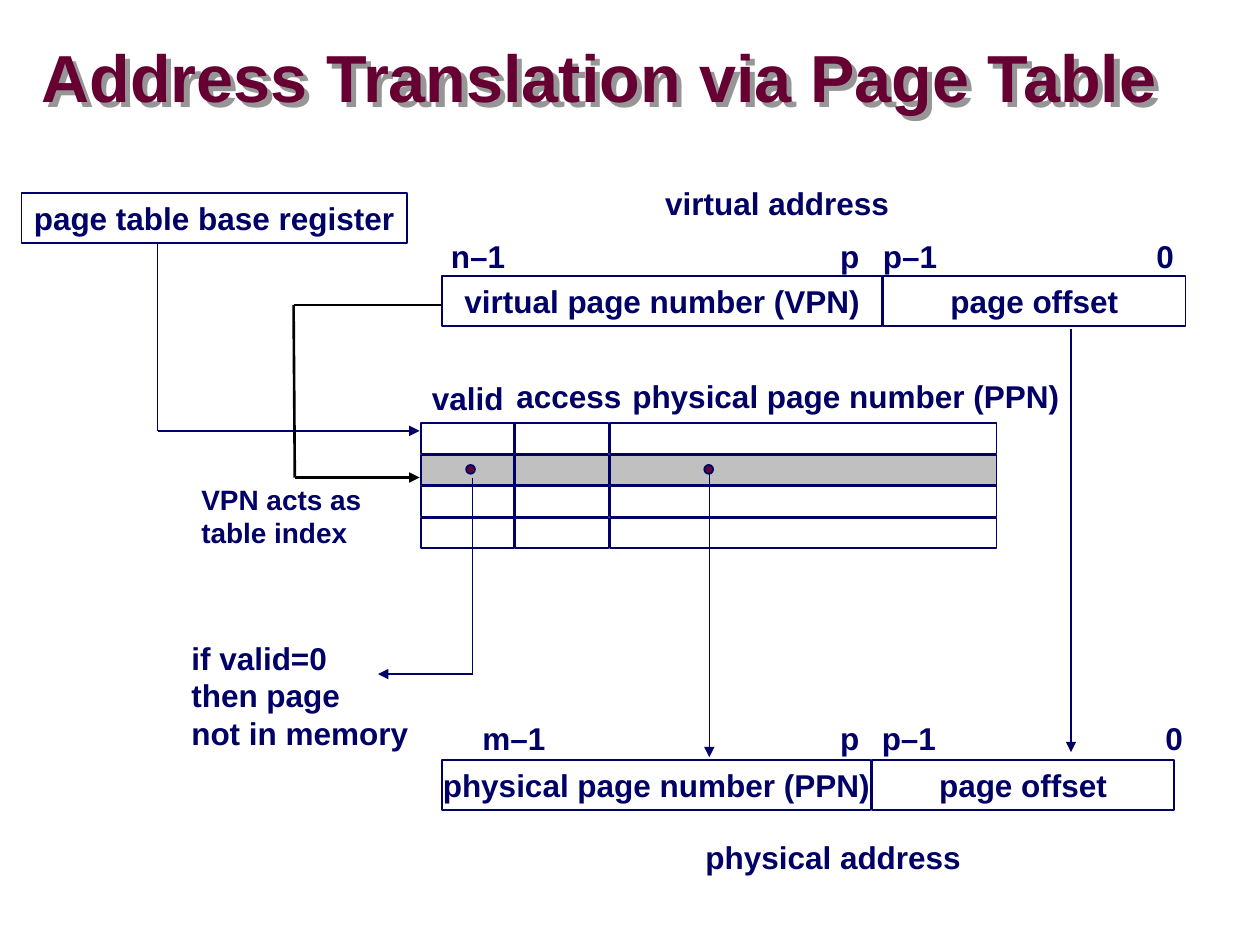
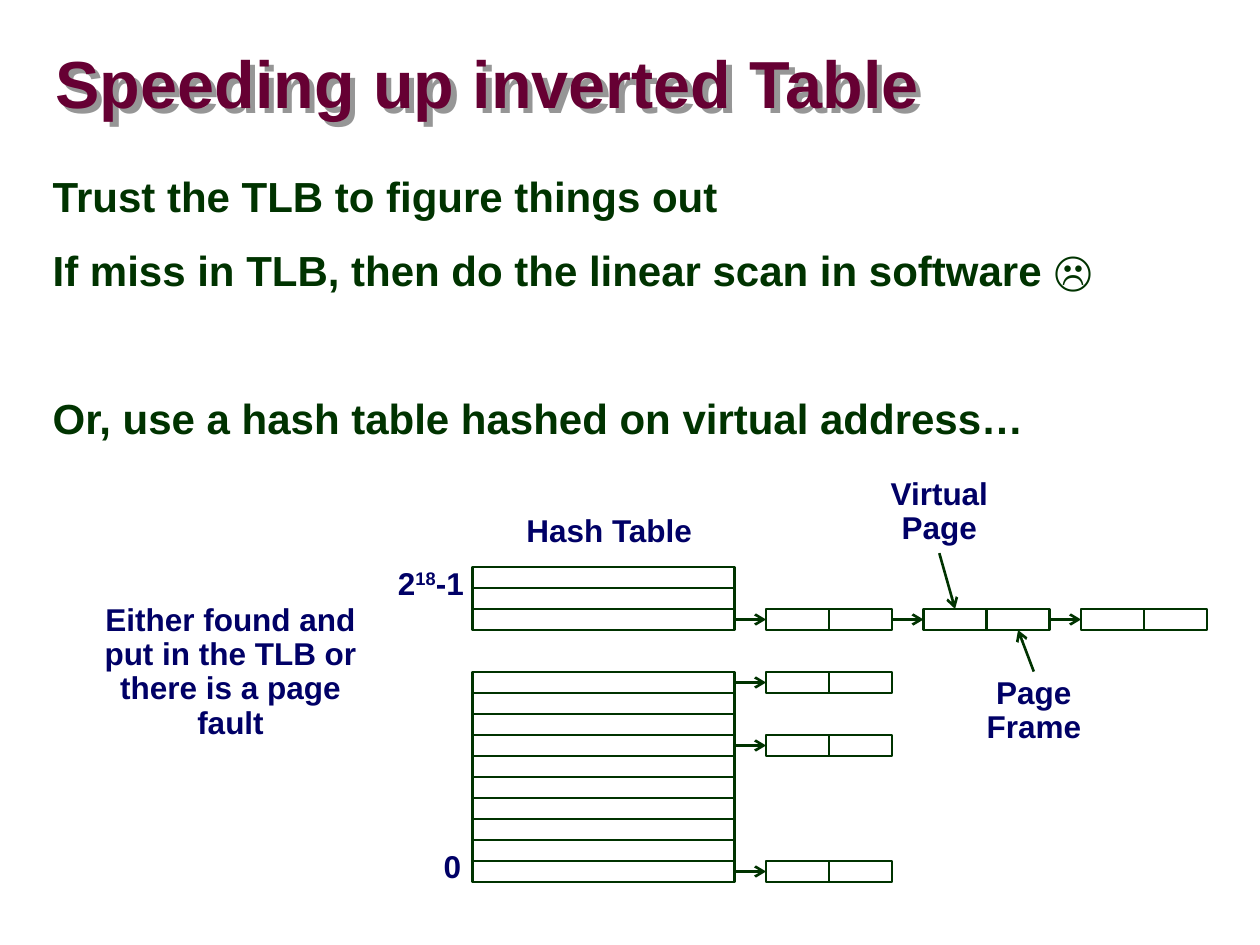
from lxml.etree import SubElement
from pptx import Presentation
from pptx.dml.color import RGBColor
from pptx.enum.shapes import MSO_CONNECTOR, MSO_SHAPE
from pptx.enum.text import MSO_ANCHOR, PP_ALIGN
from pptx.oxml.ns import qn
from pptx.util import Inches, Pt

HUES = {"navy": "000066", "wine": "660033", "green": "003300", "white": "FFFFFF",
        "grey": "C0C0C0", "black": "000000", "shade": "969696"}
FONT = {"name": "Arial", "bold": True}
MID = {"vertical_anchor": MSO_ANCHOR.MIDDLE}
BARE = {"margin_left": 0, "margin_top": 0, "margin_right": 0, "margin_bottom": 0}
TIGHT = {"alignment": PP_ALIGN.CENTER, "line_spacing": 0.9}
TOP, LEFT, BOTTOM, RIGHT = range(4)


def hue(name):
    """Return the colour of a name."""
    return RGBColor.from_string(HUES[name])


def put(item, vals):
    """Set each format value on an item."""
    for key, val in vals.items():
        setattr(item, key, val)


class Deck:
    """Holds the style and the current slide."""

    def __init__(self):
        """Start an empty deck."""
        self.prs = Presentation()
        put(self.prs, {"slide_width": Inches(10), "slide_height": Inches(7.5)})

    def page(self, title, *at):
        """Add a slide with its shadowed title."""
        self.slide = self.prs.slides.add_slide(self.prs.slide_layouts[6])
        head = self.text(title, *at, size=38, tone="wine", para={"line_spacing": 0.87},
                         frame={**BARE, **MID, "word_wrap": True})
        glow = SubElement(head._element.spPr, qn("a:effectLst"))
        cast = SubElement(glow, qn("a:outerShdw"), dist="53882", dir="2700000", algn="ctr")
        SubElement(cast, qn("a:srgbClr"), val=HUES["shade"])

    def fill_text(self, shape, words, size, tone, para, frame):
        """Write lines of text, with ^ around raised parts."""
        body = shape.text_frame
        put(body, frame)
        for i, line in enumerate(words.split("\n")):
            item = body.paragraphs[0] if i == 0 else body.add_paragraph()
            put(item, para)
            for j, part in enumerate(line.split("^")):
                run = item.add_run()
                run.text = part
                put(run.font, {**FONT, "size": Pt(size)})
                run.font.color.rgb = hue(tone)
                if j % 2:
                    run._r.get_or_add_rPr().set("baseline", "30000")

    def text(self, words, *at, size=18, tone="navy", para={}, frame={"word_wrap": False}):
        """Add a text box."""
        shape = self.slide.shapes.add_textbox(*map(Inches, at))
        self.fill_text(shape, words, size, tone, para, frame)
        return shape

    def note(self, words, *at):
        """Add a centred wrapping label."""
        return self.text(words, *at, para=TIGHT, frame={"word_wrap": True})

    def box(self, *at, words="", kind=MSO_SHAPE.RECTANGLE, fill="white", line="navy", wide=1):
        """Add an outlined shape, with text if given."""
        shape = self.slide.shapes.add_shape(kind, *map(Inches, at))
        shape.shadow.inherit = False
        if fill:
            shape.fill.solid()
            shape.fill.fore_color.rgb = hue(fill)
        else:
            shape.fill.background()
        shape.line.color.rgb = hue(line)
        shape.line.width = Pt(wide)
        if words:
            self.fill_text(shape, words, 18, "navy", {"alignment": PP_ALIGN.CENTER},
                           {**MID, "word_wrap": False})
        return shape

    def cell(self, *at):
        """Add an unfilled green cell."""
        return self.box(*at, fill=None, line="green", wide=1.5)

    def line(self, *at, tone="navy", wide=1, head=None):
        """Add a straight line, with an arrowhead if given."""
        link = self.slide.shapes.add_connector(MSO_CONNECTOR.STRAIGHT, *map(Inches, at))
        link.line.color.rgb = hue(tone)
        link.line.width = Pt(wide)
        if head:
            SubElement(link._element.spPr.find(qn("a:ln")), qn("a:tailEnd"), type=head)
        SubElement(link._element.spPr, qn("a:effectLst"))
        return link

    def join(self, start, out, end, into):
        """Add a green arrow between two shapes."""
        link = self.line(0, 0, 1, 1, tone="green", wide=1.5, head="arrow")
        link.begin_connect(start, out)
        link.end_connect(end, into)


def page_table(deck):
    """Draw the address translation slide."""
    deck.page("Address Translation via Page Table", 0.33, 0.33, 8.96, 0.63)
    for left, top, width, words in (
            (3.51, 2.19, 3.49, "virtual page number (VPN)"), (7.01, 2.19, 2.4, "page offset"),
            (3.51, 6.03, 3.4, "physical page number (PPN)"), (6.92, 6.03, 2.4, "page offset"),
            (0.17, 1.53, 3.06, "page table base register")):
        deck.box(left, top, width, 0.4, words=words)

    for left, width in ((3.34, 0.74), (4.09, 0.74), (4.84, 3.07)):
        for row in range(4):
            deck.box(left, 3.36 + 0.25 * row, width, 0.24, fill="grey" if row == 1 else "white")
    for left in (3.7, 5.59):
        deck.box(left, 3.69, 0.07, 0.07, kind=MSO_SHAPE.OVAL, fill="wine")

    for left, top, width, words in (
            (5.18, 1.41, 1.98, "virtual address"), (5.5, 6.6, 2.23, "physical address"),
            (3.48, 1.83, 0.63, "n–1"), (6.57, 1.83, 0.35, "p"),
            (6.91, 1.83, 0.63, "p–1"), (9.08, 1.83, 0.34, "0"),
            (3.73, 5.66, 0.7, "m–1"), (6.57, 5.66, 0.35, "p"),
            (6.9, 5.66, 0.63, "p–1"), (9.15, 5.66, 0.34, "0"),
            (3.33, 2.96, 0.77, "valid"), (4, 2.94, 1.1, "access"),
            (4.92, 2.94, 3.59, "physical page number (PPN)")):
        deck.text(words, left, top, width, 0.4)
    deck.text("if valid=0\nthen page\nnot in memory", 1.42, 5.02, 1.92, 1)
    deck.text("VPN acts as\ntable index", 1.5, 3.78, 1.58, 0.64, size=16)

    tip = "triangle"
    deck.line(8.5, 2.61, 8.5, 5.97, head=tip)
    deck.line(5.63, 3.76, 5.63, 6.01, head=tip)
    deck.line(3.75, 3.79, 3.75, 5.35)
    deck.line(3.75, 5.35, 3, 5.35, head=tip)
    deck.line(1.25, 1.94, 1.25, 3.42)
    deck.line(1.25, 3.42, 3.33, 3.42, wide=0.75, head=tip)
    deck.line(3.5, 2.42, 2.33, 2.42, tone="black", wide=1.5)
    deck.line(2.33, 2.42, 2.34, 3.79, tone="black", wide=1.5)
    deck.line(2.34, 3.79, 3.33, 3.79, tone="black", wide=1.5, head=tip)


def hash_table(deck):
    """Draw the inverted table slide."""
    deck.page("Speeding up inverted Table", 0.44, 0.27, 9.39, 0.85)
    body = deck.text("Trust the TLB to figure things out\n"
                     "If miss in TLB, then do the linear scan in software ☹\n"
                     "Or, use a hash table hashed on virtual address…",
                     0.32, 1.33, 9.09, 2.58, size=24, tone="green",
                     para={"line_spacing": 0.95}, frame={"word_wrap": True})
    for item, gap in zip(body.text_frame.paragraphs[1:], (15, 57.5)):
        item.space_before = Pt(gap)

    step = 1 / 6
    chains = {2: 3, 5: 1, 8: 1, 14: 1}
    pairs = {}
    for row in (*range(3), *range(5, 15)):
        top = 4.5 + step * row
        last = deck.cell(3.75, top, 2.08, step)
        for col in range(chains.get(row, 0)):
            left = 6.08 + 1.25 * col
            pair = [deck.cell(left + 0.5 * half, top, 0.5, step) for half in range(2)]
            deck.join(last, RIGHT, pair[0], LEFT)
            pairs[row, col] = pair
            last = pair[1]

    deck.note("0", 3.42, 6.71, 0.34, 0.37)
    deck.note("2^18^-1", 2.92, 4.46, 1, 0.37)
    deck.note("Hash Table", 3.17, 4.04, 3.33, 0.37)
    deck.note("Either found and put in the TLB or there is a page fault", 0.58, 4.75, 2.5, 1.18)
    page = deck.note("Virtual Page", 6.83, 3.75, 1.25, 0.64)
    frame = deck.note("Page Frame", 7.58, 5.33, 1.25, 0.64)
    deck.join(page, BOTTOM, pairs[2, 1][0], TOP)
    deck.join(frame, TOP, pairs[2, 1][1], BOTTOM)


def main():
    """Build and save the deck."""
    deck = Deck()
    page_table(deck)
    hash_table(deck)
    deck.prs.save("out.pptx")


if __name__ == "__main__":
    main()
